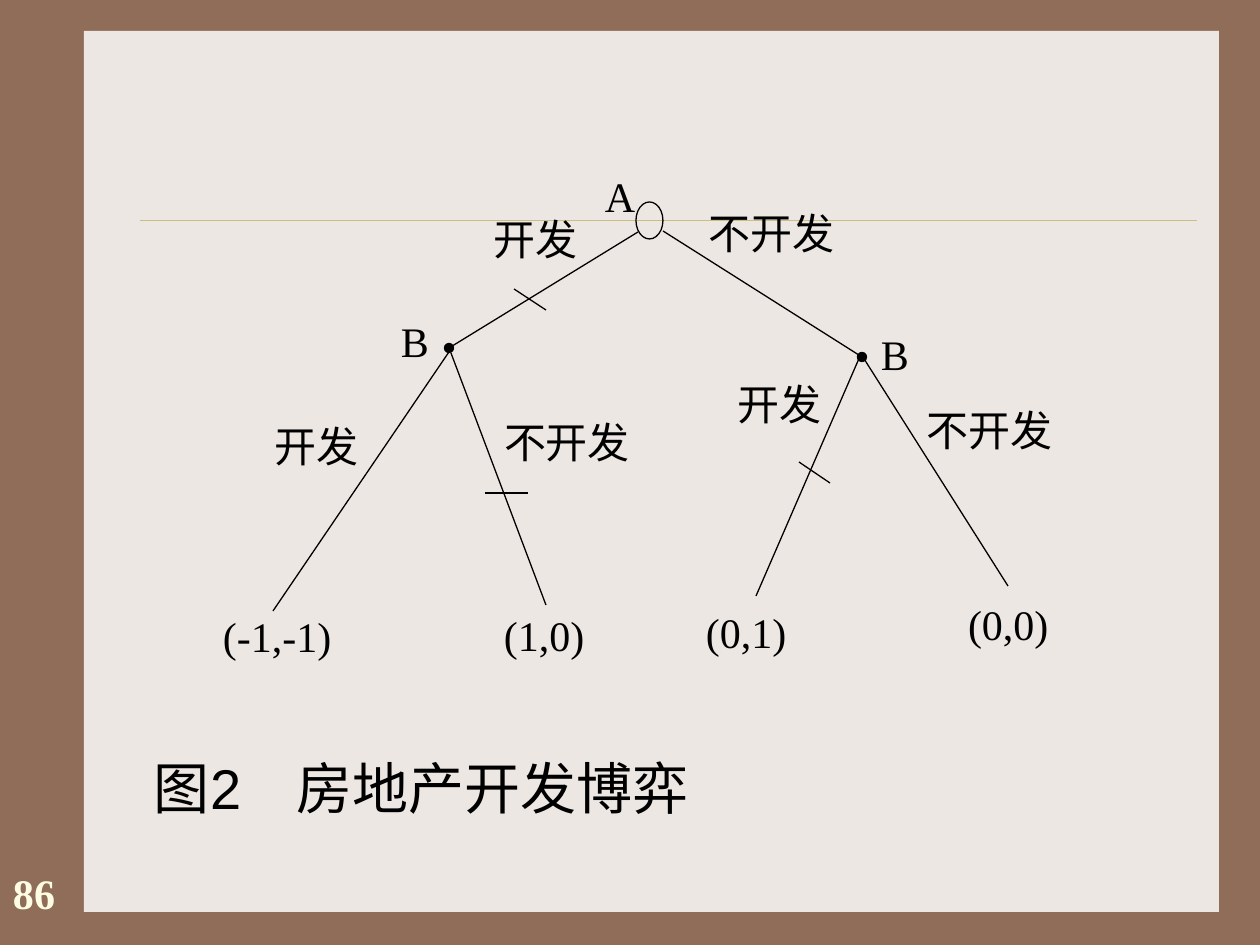
from lxml.etree import SubElement
from pptx import Presentation
from pptx.dml.color import RGBColor
from pptx.enum.shapes import MSO_CONNECTOR as LINE, MSO_SHAPE as SHAPE
from pptx.enum.text import MSO_ANCHOR as ANCHOR, MSO_AUTO_SIZE as FIT, PP_ALIGN as ALIGN
from pptx.oxml.ns import qn
from pptx.util import Emu, Pt

PX_PER_INCH = 126
COLORS = {"frame": "906D58", "panel": "EDE7E3", "rule": "CBBD83",
          "ink": "000000", "number": "FEFDE3"}
SERIF, SANS, CJK = "Times New Roman", "Arial", "Noto Sans CJK SC"


def px(length):
    return Emu(round(length * 914400 / PX_PER_INCH))


def color(name):
    return RGBColor.from_string(COLORS[name])


def set_all(target, values):
    for key, value in values.items():
        setattr(target, key, value)


def write(holder, text, font, size, ink="ink", align=ALIGN.LEFT, bold=False,
          inset=(13, 6), anchor=ANCHOR.TOP):
    frame = holder.text_frame
    side, edge = map(px, inset)
    set_all(frame, {"word_wrap": True, "auto_size": FIT.NONE, "vertical_anchor": anchor,
                    "margin_left": side, "margin_right": side,
                    "margin_top": edge, "margin_bottom": edge})
    paragraph = frame.paragraphs[0]
    paragraph.alignment = align
    run = paragraph.add_run()
    run.text = text
    set_all(run.font, {"name": font, "size": Pt(size), "bold": bold})
    run.font.color.rgb = color(ink)
    SubElement(run.font._element, qn("a:ea")).set("typeface", CJK)
    return paragraph


def add_label(slide, left, top, width, height, text, **style):
    label = slide.shapes.add_textbox(px(left), px(top), px(width), px(height))
    write(label, text, SERIF, 24, **style)


def add_line(slide, start, end, ink="ink", weight=0.75, dot=False):
    line = slide.shapes.add_connector(LINE.STRAIGHT, *map(px, (*start, *end)))
    line.line.color.rgb = color(ink)
    line.line.width = Pt(weight)
    if dot:
        SubElement(line.line._get_or_add_ln(), qn("a:tailEnd")).set("type", "oval")
    SubElement(line._element.spPr, qn("a:effectLst"))


def add_backdrop(slide, left, top, width, height):
    slide.background.fill.solid()
    slide.background.fill.fore_color.rgb = color("frame")
    panel = slide.shapes.add_shape(SHAPE.RECTANGLE, px(left), px(top), px(width), px(height))
    panel.shadow.inherit = False
    panel.fill.solid()
    panel.fill.fore_color.rgb = color("panel")
    panel.line.fill.background()
    rule_y = top + 189
    add_line(slide, (left + 56, rule_y), (left + width - 22, rule_y), "rule", 0.25)


def add_caption(slide, left, top, width, height):
    caption = slide.shapes.title
    set_all(caption, {"left": px(left), "top": px(top),
                      "width": px(width), "height": px(height)})
    paragraph = write(caption, "图2\t房地产开发博弈", SANS, 32, inset=(0, 0),
                      anchor=ANCHOR.MIDDLE)
    # Tab stop between the figure number and its name
    stops = SubElement(paragraph._p.get_or_add_pPr(), qn("a:tabLst"))
    stop = SubElement(stops, qn("a:tab"))
    stop.set("pos", str(px(142)))
    stop.set("algn", "l")
    # Bring the caption in front of the panel
    slide.shapes._spTree.append(caption._element)


def add_game_tree(slide, left, top):
    def at(point):
        return left + point[0], top + point[1]

    # Root node
    root = slide.shapes.add_shape(SHAPE.OVAL, *map(px, (*at((426, 37)), 27, 37)))
    root.shadow.inherit = False
    root.fill.background()
    root.line.color.rgb = color("ink")
    root.line.width = Pt(0.75)

    # Moves of A, each ending in a node of B
    for start, end in (((428, 67), (239, 183)), ((453, 66), (652, 192))):
        add_line(slide, at(start), at(end), dot=True)

    # Moves of B
    for start, end in (((241, 184), (63, 446)), ((241, 188), (336, 440)),
                       ((651, 189), (546, 431)), ((651, 189), (798, 421))):
        add_line(slide, at(start), at(end))

    # Players, moves and payoffs: text, left, top, width
    labels = (
        ("A", 382, 0, 73), ("B", 178, 145, 73), ("B", 658, 158, 73),
        ("开发", 271, 43, 126), ("不开发", 486, 37, 168),
        ("开发", 52, 250, 126), ("不开发", 281, 246, 158),
        ("开发", 515, 208, 126), ("不开发", 704, 234, 168),
        ("(-1,-1)", 0, 440, 147), ("(1,0)", 281, 439, 116),
        ("(0,1)", 483, 436, 158), ("(0,0)", 745, 428, 158),
    )
    for text, x, y, width in labels:
        add_label(slide, *at((x, y)), width, 63, text)

    # Strokes across the ruled-out moves
    for start, end in (((304, 124), (336, 145)), ((589, 297), (620, 318)),
                       ((275, 328), (318, 328))):
        add_line(slide, at(start), at(end))


def main():
    deck = Presentation()
    deck.slide_width, deck.slide_height = px(1260), px(945)
    slide = deck.slides.add_slide(deck.slide_layouts[5])
    add_backdrop(slide, 84, 31, 1135, 881)
    add_label(slide, 0, 861, 68, 84, "86", ink="number", align=ALIGN.RIGHT, bold=True)
    add_caption(slide, 154, 747, 1000, 80)
    add_game_tree(slide, 210, 165)
    deck.save("out.pptx")


if __name__ == "__main__":
    main()
